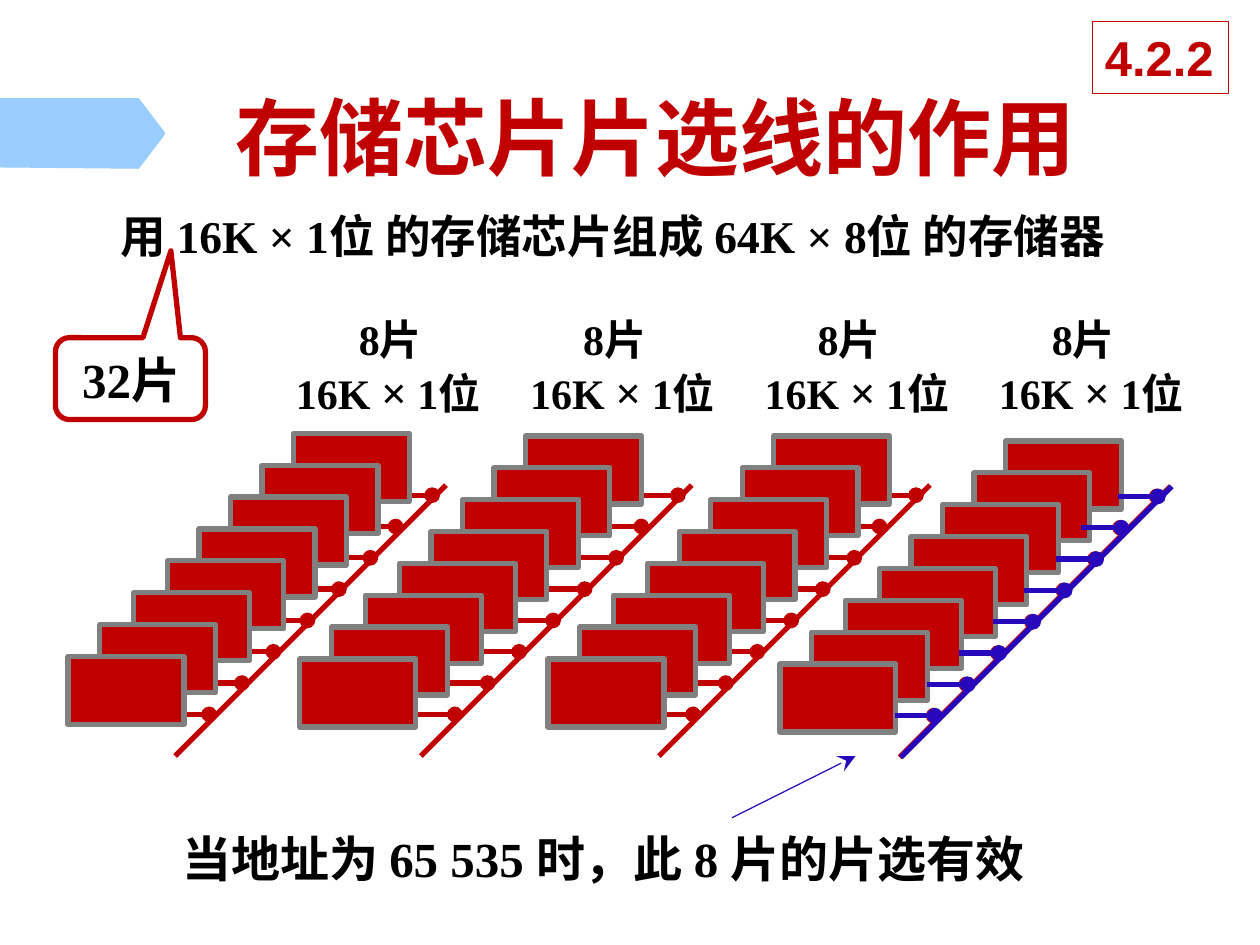
import pptx
import pptx.util
import pptx.dml.color
import pptx.enum.shapes
import pptx.enum.text
import pptx.oxml.ns
import lxml.etree

Inches = pptx.util.Inches
Pt = pptx.util.Pt
RGBColor = pptx.dml.color.RGBColor
MSO_SHAPE = pptx.enum.shapes.MSO_SHAPE
MSO_ANCHOR = pptx.enum.text.MSO_ANCHOR
PP_ALIGN = pptx.enum.text.PP_ALIGN
qn = pptx.oxml.ns.qn

RED = RGBColor(0xC0, 0x00, 0x00)
BLUE = RGBColor(0x27, 0x09, 0xBB)
SKY = RGBColor(0x99, 0xCC, 0xFF)
GRAY = RGBColor(0x80, 0x80, 0x80)
BLACK = RGBColor(0, 0, 0)
WHITE = RGBColor(0xFF, 0xFF, 0xFF)

deck = pptx.Presentation()
deck.slide_width = Inches(10)
deck.slide_height = Inches(7.5)
slide = deck.slides.add_slide(deck.slide_layouts[6])
shapes = slide.shapes


def write(paragraph, runs, color=BLACK, font="Times New Roman"):
    for text, size in runs:
        run = paragraph.add_run()
        run.text = text
        style = {"name": font, "size": Pt(size), "bold": True}
        for key, value in style.items():
            setattr(run.font, key, value)
        run.font.color.rgb = color
        east_asian = lxml.etree.Element(qn("a:ea"), typeface="Noto Sans CJK SC")
        run.font._element.find(qn("a:latin")).addnext(east_asian)


def draw_line(x1, y1, x2, y2, color, width=3, tail=None, tail_size="med"):
    line = shapes.add_connector(
        pptx.enum.shapes.MSO_CONNECTOR.STRAIGHT,
        Inches(x1), Inches(y1), Inches(x2), Inches(y2))
    line.line.color.rgb = color
    line.line.width = Pt(width)
    if tail:
        lxml.etree.SubElement(line.line._get_or_add_ln(), qn("a:tailEnd"),
                              type=tail, w=tail_size, len=tail_size)
    lxml.etree.SubElement(line._element.spPr, qn("a:effectLst"))


outline = shapes.build_freeform(Inches(0), Inches(0.78), scale=1.0)
banner_points = [(1.1, 0.78), (1.11, 0.79), (1.3, 1.04), (1.31, 1.06),
                 (1.3, 1.08), (1.11, 1.33), (1.1, 1.34), (0, 1.33)]
outline.add_line_segments([(Inches(x), Inches(y)) for x, y in banner_points])
banner = outline.convert_to_shape()
banner.shadow.inherit = False
banner.fill.solid()
banner.fill.fore_color.rgb = SKY
banner.line.fill.background()

title = shapes.add_textbox(Inches(1.34), Inches(0.66), Inches(7.73), Inches(0.84)).text_frame
title.word_wrap = True
title.vertical_anchor = MSO_ANCHOR.MIDDLE
title.paragraphs[0].alignment = PP_ALIGN.CENTER
write(title.paragraphs[0], [("存储芯片片选线的作用", 48)], RED, "Noto Sans CJK SC")

tap_offsets = [0.43, 0.72, 0.92, 1.17, 1.42, 1.69, 1.94, 2.2]
chip_offsets = [0, 0.25, 0.5, 0.75, 1, 1.27, 1.54, 1.79]
red_buses = [(9.29, 3.86, RED), (7.38, 3.85, RED), (5.49, 3.85, RED), (3.54, 3.85, RED)]
chip_stacks = [(2.33, 3.44), (4.17, 3.46), (6.14, 3.46), (7.98, 3.5)]
selected_bus = (9.3, 3.86, BLUE)

for layer in ["red buses", "chips", "selected bus"]:
    if layer == "chips":
        for left, top in chip_stacks:
            for row, offset in enumerate(chip_offsets):
                chip = shapes.add_shape(
                    MSO_SHAPE.RECTANGLE, Inches(left - offset),
                    Inches(top + row * 1.77 / 7), Inches(0.92), Inches(0.54))
                chip.shadow.inherit = False
                chip.fill.solid()
                chip.fill.fore_color.rgb = RED
                chip.line.color.rgb = GRAY
                chip.line.width = Pt(3)
        continue
    for x, y, color in red_buses if layer == "red buses" else [selected_bus]:
        draw_line(x, y, x - 2.15, y + 2.15, color)
        for row, offset in enumerate(tap_offsets):
            tap_y = y + 0.08 + row * 1.74 / 7
            draw_line(x - offset, tap_y, x - offset + 0.32, tap_y, color, tail="oval")

sentences = [
    (0.86, 1.6, 8.51, 0.53, "用 16K × 1位 的存储芯片组成 64K × 8位 的存储器", 26),
    (1.35, 6.53, 7.2, 0.57, "当地址为 65 535 时，此 8 片的片选有效", 28),
]
for left, top, width, height, text, size in sentences:
    sentence = shapes.add_textbox(Inches(left), Inches(top), Inches(width), Inches(height)).text_frame
    sentence.word_wrap = True
    write(sentence.paragraphs[0], [(text, size)])

draw_line(5.81, 6.49, 6.79, 6, BLUE, 0.75, "stealth", "lg")

for left, width, indent in [(2.25, 2.21, 0.5), (4.11, 2.1, 0.42), (5.97, 1.94, 0.42), (7.83, 1.96, 0.42)]:
    group_label = shapes.add_textbox(Inches(left), Inches(2.44), Inches(width), Inches(0.93)).text_frame
    group_label.word_wrap = True
    count = group_label.paragraphs[0]
    count._p.get_or_add_pPr().set("marL", str(Inches(indent)))
    write(count, [("8片", 24)])
    write(group_label.add_paragraph(), [("16K ", 24), ("×", 26), (" 1位", 24)])

callout = shapes.add_shape(MSO_SHAPE.ROUNDED_RECTANGULAR_CALLOUT,
                           Inches(0.44), Inches(2.68), Inches(1.19), Inches(0.65))
for index, value in enumerate([0.27, -1.56, 0.17]):
    callout.adjustments[index] = value
callout.fill.background()
section = shapes.add_shape(MSO_SHAPE.RECTANGLE, Inches(8.67), Inches(0.17), Inches(1.08), Inches(0.57))
section.fill.solid()
section.fill.fore_color.rgb = WHITE

boxes = [
    (callout, 3, "32片", BLACK, "Times New Roman",
     {"margin_left": Inches(0.18), "margin_right": 0, "word_wrap": True}),
    (section, 0.75, "4.2.2", RED, "Arial", {"word_wrap": False}),
]
for box, line_width, text, color, font, frame_format in boxes:
    box.shadow.inherit = False
    box.line.color.rgb = RED
    box.line.width = Pt(line_width)
    for key, value in frame_format.items():
        setattr(box.text_frame, key, value)
    box.text_frame.vertical_anchor = MSO_ANCHOR.MIDDLE
    box.text_frame.paragraphs[0].alignment = PP_ALIGN.LEFT
    write(box.text_frame.paragraphs[0], [(text, 28)], color, font)

deck.save("out.pptx")
